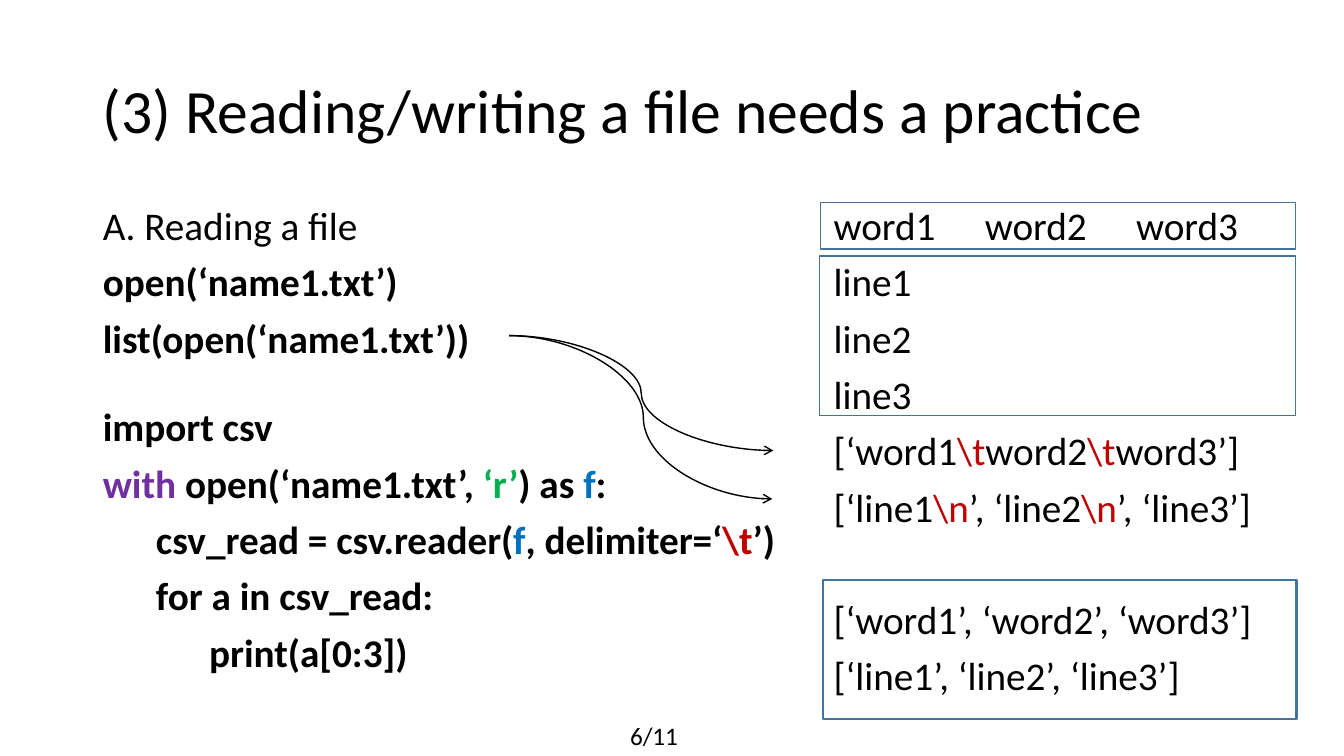
from lxml import etree
from pptx import Presentation
from pptx import util as u
from pptx.dml.color import RGBColor
from pptx.enum import shapes, text
from pptx.oxml.ns import qn

PX = 9144  # EMU per px, 100 px to the inch
FONT = "Calibri"
HUES = {"ink": "000000", "edge": "43739E", "purple": "7030A0",
        "green": "00B050", "blue": "0070C0", "red": "C00000"}

# A line is (space before, runs); a run is text or (text, hue)
CODE = [
    (0, ["A. Reading a file"]),
    (10, ["open(‘name1.txt’)"]),
    (10, ["list(open(‘name1.txt’))"]),
    (33, ["import csv"]),
    (10, [("with", "purple"), " open(‘name1.txt’, ", ("‘r’", "green"),
          ") as ", ("f", "blue"), ":"]),
    (10, ["      csv_read = csv.reader(", ("f", "blue"), ", delimiter=‘",
          ("\\t", "red"), "’)"]),
    (10, ["      for a in csv_read:"]),
    (10, ["            print(a[0:3])"]),
]
SHOWN = [
    (0, ["word1\tword2\tword3"]),
    (10, ["line1"]),
    (10, ["line2"]),
    (10, ["line3"]),
    (10, ["[‘word1", ("\\t", "red"), "word2", ("\\t", "red"), "word3’]"]),
    (10, ["[‘line1", ("\\n", "red"), "’, ‘line2", ("\\n", "red"), "’, ‘line3’]"]),
    (50, ["[‘word1’, ‘word2’, ‘word3’]"]),
    (10, ["[‘line1’, ‘line2’, ‘line3’]"]),
]
TABS = (144, 298)


def rgb(hue):
    return RGBColor.from_string(HUES[hue])


def place(shape, *spot):
    shape.left, shape.top, shape.width, shape.height = (n * PX for n in spot)


def frame(shape, anchor=text.MSO_ANCHOR.TOP):
    tf = shape.text_frame
    tf.word_wrap = True
    tf.auto_size = text.MSO_AUTO_SIZE.NONE
    tf.vertical_anchor = anchor
    return tf


def write(para, runs, size, bold=False):
    para.alignment = text.PP_ALIGN.LEFT
    for item in runs:
        words, hue = (item, "ink") if isinstance(item, str) else item
        run = para.add_run()
        run.text = words
        run.font.name = FONT
        run.font.size = u.Pt(size)
        run.font.bold = bold
        run.font.color.rgb = rgb(hue)


def fill(tf, lines, bold=False, tabs=()):
    for i, (gap, runs) in enumerate(lines):
        para = tf.paragraphs[0] if i == 0 else tf.add_paragraph()
        props = para._p.get_or_add_pPr()
        props.set("marL", "0")
        props.set("indent", "0")
        etree.SubElement(props, qn("a:buNone"))
        if tabs and "\t" in runs[0]:
            stops = etree.SubElement(props, qn("a:tabLst"))
            for pos in tabs:
                etree.SubElement(stops, qn("a:tab"), pos=str(pos * PX), algn="l")
        para.line_spacing = 0.9
        para.space_before = u.Pt(gap)
        write(para, runs, 28, bold and i > 0)


def box(slide, spot, width):
    rect = slide.shapes.add_shape(shapes.MSO_SHAPE.RECTANGLE, *(n * PX for n in spot))
    rect.shadow.inherit = False
    rect.fill.background()
    rect.line.color.rgb = rgb("edge")
    rect.line.width = u.Pt(width)


def curve(slide, start, end, bend):
    link = slide.shapes.add_connector(
        shapes.MSO_CONNECTOR.CURVE, *(n * PX for n in start + end))
    link.line.color.rgb = rgb("ink")
    link.line.width = u.Pt(1)
    props = link._element.spPr
    guides = props.find(qn("a:prstGeom")).get_or_add_avLst()
    etree.SubElement(guides, qn("a:gd"), name="adj1", fmla=f"val {bend * 1000}")
    etree.SubElement(link.line._get_or_add_ln(), qn("a:tailEnd"), type="arrow")
    etree.SubElement(props, qn("a:effectLst"))


def main():
    deck = Presentation()
    deck.slide_width, deck.slide_height = 1333 * PX, 750 * PX
    slide = deck.slides.add_slide(deck.slide_layouts[1])

    # Title
    title = slide.shapes.title
    place(title, 92, 40, 1150, 145)
    head = frame(title, text.MSO_ANCHOR.MIDDLE).paragraphs[0]
    head.line_spacing = 0.9
    write(head, ["(3) Reading/writing a file needs a practice"], 44)

    # Code on the left, its output on the right
    body = slide.placeholders[1]
    place(body, 92, 200, 706, 498)
    fill(frame(body), CODE, bold=True)
    side = slide.shapes.add_textbox(817 * PX, 200 * PX, 478 * PX, 524 * PX)
    fill(frame(side), SHOWN, tabs=TABS)

    # Page number
    page = slide.shapes.add_textbox(615 * PX, 710 * PX, 71 * PX, 40 * PX)
    write(frame(page).paragraphs[0], ["6/11"], 18)

    # Frames round the file contents and the result
    box(slide, (814, 201, 471, 46), 1)
    box(slide, (813, 254, 472, 158), 1)
    box(slide, (816, 575, 470, 138), 1.5)

    # Arrows from list() to what it gives
    curve(slide, (505, 333), (767, 447), 50)
    curve(slide, (505, 333), (766, 495), 51)

    deck.save("out.pptx")


if __name__ == "__main__":
    main()
